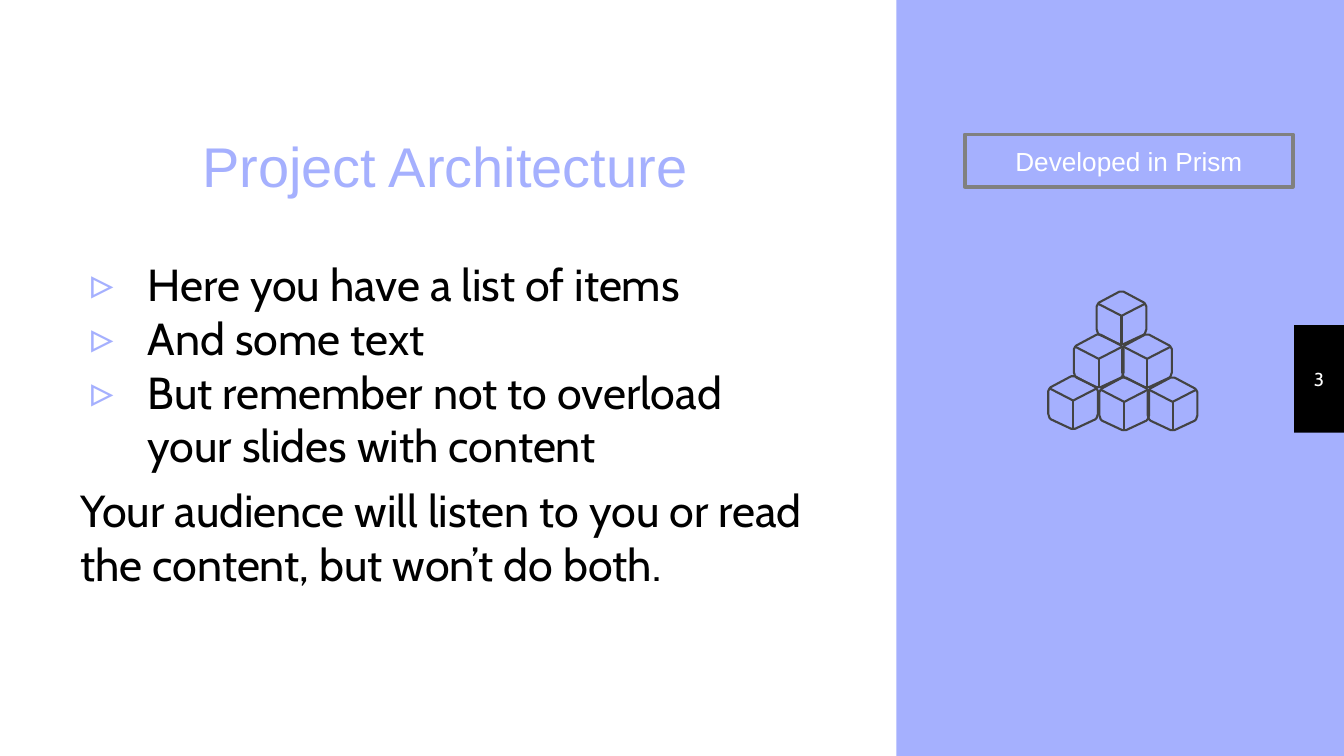
from lxml import etree
from pptx import Presentation
from pptx.dml.color import RGBColor
from pptx.enum import shapes, text
from pptx.oxml.ns import qn
from pptx.util import Inches, Pt

LILAC, WHITE, BLACK, GREY, INK = "A5B0FE", "FFFFFF", "000000", "808080", "434343"
WIDE = 10
HIGH = WIDE * 9 / 16
TAB = (9.63, 2.42, 0.37, 0.8)
CUBE_W = 0.37
# Right half of a cube's rounded outline, from top to bottom
HALF = [(0.2, 0), (0.35, 0.08), (0.36, 0.09), (0.37, 0.11),
        (0.37, 0.28), (0.36, 0.31), (0.35, 0.32), (0.2, 0.39)]
CUBES = [(8.18, 2.81), (7.99, 2.49), (8.54, 2.81),
         (8.35, 2.49), (7.8, 2.8), (8.16, 2.17)]


def color(code):
    return RGBColor.from_string(code)


def stroke(shape, code, width):
    shape.line.color.rgb = color(code)
    shape.line.width = Pt(width)


def rect(slide, at, fill):
    box = slide.shapes.add_shape(shapes.MSO_SHAPE.RECTANGLE, *map(Inches, at))
    box.shadow.inherit = False
    box.fill.solid()
    box.fill.fore_color.rgb = color(fill)
    box.line.fill.background()
    return box


def label(slide, at):
    return slide.shapes.add_textbox(*map(Inches, at))


def write(shape, lines, size, font, code, align="LEFT", anchor="MIDDLE", inset=0.1):
    frame = shape.text_frame
    look = {"word_wrap": True, "vertical_anchor": text.MSO_ANCHOR[anchor],
            "margin_top": Inches(inset), "margin_bottom": Inches(inset)}
    for key, value in look.items():
        setattr(frame, key, value)
    frame.text = "\n".join(lines)
    for para in frame.paragraphs:
        para.alignment = text.PP_ALIGN[align]
        face = para.runs[0].font
        face.name, face.size, face.color.rgb = font, Pt(size), color(code)
    return frame.paragraphs


def bullet(para, mark, font, code):
    props = para._p.get_or_add_pPr()
    props.set("marL", str(Inches(0.5)))
    props.set("indent", str(Inches(-0.42)))
    tint = etree.SubElement(props, qn("a:buClr"))
    etree.SubElement(tint, qn("a:srgbClr"), val=code)
    etree.SubElement(props, qn("a:buFont"), typeface=font)
    etree.SubElement(props, qn("a:buChar"), char=mark)


def trace(group, points, close):
    """Draw an unfilled outline through points given in inches."""
    dots = [(Inches(x), Inches(y)) for x, y in points]
    pen = group.shapes.build_freeform(*dots[0])
    pen.add_line_segments(dots[1:], close=close)
    shape = pen.convert_to_shape()
    shape.shadow.inherit = False
    shape.fill.background()
    stroke(shape, INK, 1.13)


def cube(slide, left, top):
    group = slide.shapes.add_group_shape()
    mid = CUBE_W / 2
    ring = HALF + [(CUBE_W - x, y) for x, y in reversed(HALF)]
    lid = [(0.01, 0.09), (mid, 0.18), (0.36, 0.09)]
    spine = [(mid, 0.4), (mid, 0.18)]
    for points, close in ((ring, True), (lid, False), (spine, False)):
        trace(group, [(left + x, top + y) for x, y in points], close)


def main():
    deck = Presentation()
    deck.slide_width, deck.slide_height = Inches(WIDE), Inches(HIGH)
    slide = deck.slides.add_slide(deck.slide_layouts[6])
    slide.background.fill.solid()
    slide.background.fill.fore_color.rgb = color(LILAC)

    rect(slide, TAB, BLACK)
    rect(slide, (0, 0, 6.67, HIGH), WHITE)
    write(label(slide, (0.5, 0.64, 5.62, 0.94)), ["Project Architecture"],
          30, "Arial", LILAC, "CENTER", "BOTTOM")

    items = ["Here you have a list of items", "And some text",
             "But remember not to overload your slides with content"]
    close = "Your audience will listen to you or read the content, but won’t do both."
    paras = write(label(slide, (0.5, 1.81, 5.62, 3.48)), items + [close],
                  24, "Cabin", BLACK, anchor="TOP")
    for para in (paras[0], paras[-1]):
        para.space_before = Pt(6)
    for para in paras[:-1]:
        bullet(para, "▹", "Cabin", LILAC)

    write(label(slide, TAB), ["3"], 10, "Cabin", WHITE, "CENTER")
    for spot in CUBES:
        cube(slide, *spot)

    badge = rect(slide, (7.18, 1, 2.44, 0.39), LILAC)
    stroke(badge, GREY, 2)
    write(badge, ["Developed in Prism"], 14, "Arial", WHITE, "CENTER", inset=0.05)
    deck.save("out.pptx")


if __name__ == "__main__":
    main()
